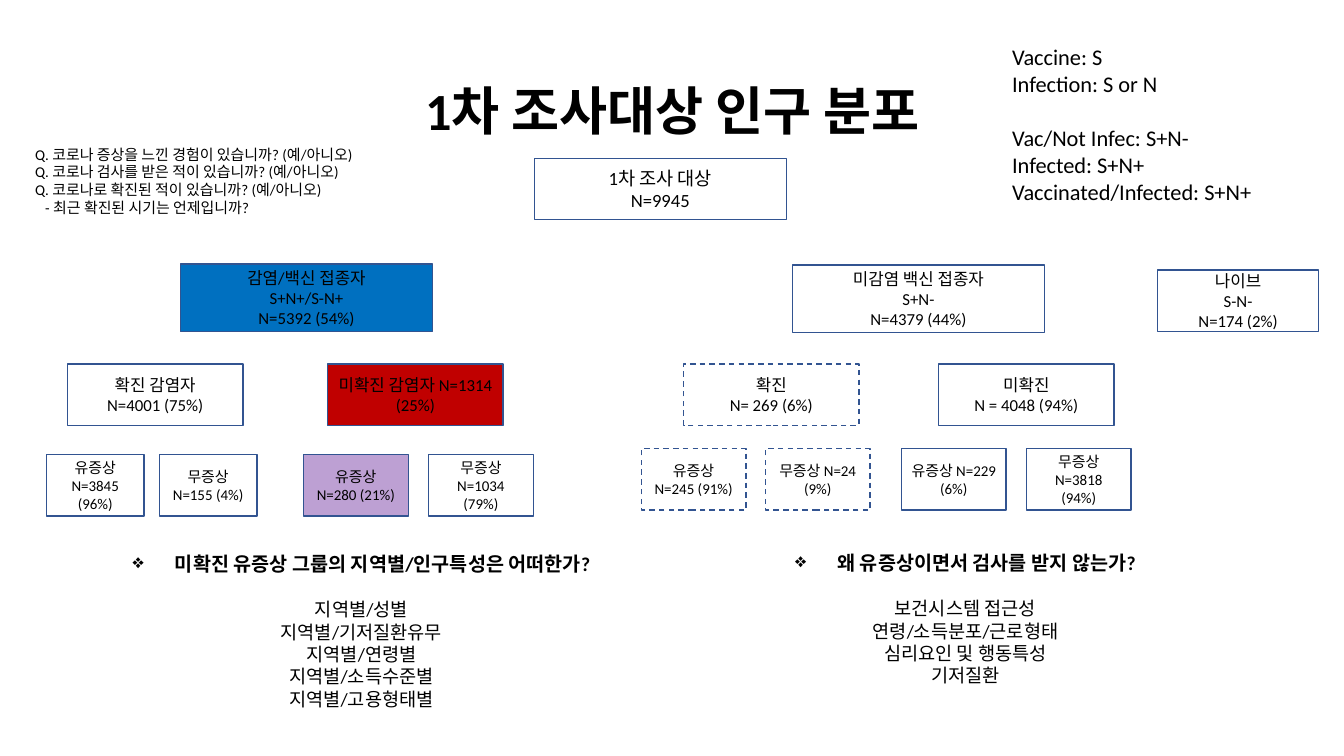
from lxml import etree
from pptx import Presentation
from pptx.dml.color import RGBColor
from pptx.enum.dml import MSO_LINE
from pptx.enum.shapes import MSO_SHAPE
from pptx.enum.text import MSO_ANCHOR as Anchor, MSO_AUTO_SIZE as AutoSize, PP_ALIGN as Align
from pptx.oxml.ns import qn
from pptx.util import Inches, Pt

BLACK = RGBColor(0x00, 0x00, 0x00)
OUTLINE = RGBColor(0x32, 0x54, 0x91)
BLUE = RGBColor(0x00, 0x70, 0xC0)
RED = RGBColor(0xC0, 0x00, 0x00)
PURPLE = RGBColor(0x70, 0x30, 0xA0)

FONT = "Calibri"
LARGE, MEDIUM, SMALL = 13.3, 12, 10.7
GROUP_WIDTH, GROUP_HEIGHT = 2.5, 0.67
TEST_WIDTH, BOX_HEIGHT = 1.74, 0.61
SYMPTOM_WIDTH = 1.04


def write(frame, lines, size, align=Align.LEFT):
    """Fill a text frame with one paragraph per line."""
    frame.word_wrap = True
    for index, line in enumerate(lines):
        para = frame.paragraphs[0] if index == 0 else frame.add_paragraph()
        para.alignment = align
        span = para.add_run()
        span.text = line
        span.font.name = FONT
        span.font.size = Pt(size)
        span.font.color.rgb = BLACK
    return frame.paragraphs


def add_text(page, left, top, width, height, lines, size, align=Align.LEFT):
    box = page.shapes.add_textbox(Inches(left), Inches(top), Inches(width), Inches(height))
    return write(box.text_frame, lines, size, align)


def add_box(page, left, top, width, height, lines, size, fill=None, alpha=None, dashed=False):
    box = page.shapes.add_shape(MSO_SHAPE.RECTANGLE, Inches(left), Inches(top),
                                Inches(width), Inches(height))
    box.shadow.inherit = False
    if fill is None:
        box.fill.background()
    else:
        box.fill.solid()
        box.fill.fore_color.rgb = fill
    if alpha is not None:
        color = box.fill._xPr.find(qn("a:solidFill"))[0]
        etree.SubElement(color, qn("a:alpha")).set("val", str(alpha * 1000))
    box.line.color.rgb = OUTLINE
    box.line.width = Pt(1)
    if dashed:
        box.line.dash_style = MSO_LINE.DASH
    box.text_frame.vertical_anchor = Anchor.MIDDLE
    write(box.text_frame, lines, size, Align.CENTER)


def set_title(page, left, top, width, height):
    title = page.shapes.title
    title.left, title.top = Inches(left), Inches(top)
    title.width, title.height = Inches(width), Inches(height)
    frame = title.text_frame
    frame.auto_size = AutoSize.NONE
    frame.vertical_anchor = Anchor.MIDDLE
    para = write(frame, ["1차 조사대상 인구 분포"], 37.3, Align.CENTER)[0]
    para.line_spacing = 0.9
    para.runs[0].font.bold = True


def add_survey_questions(page, left, top, width, height):
    paras = add_text(page, left, top, width, height, [
        "Q. 코로나 증상을 느낀 경험이 있습니까? (예/아니오)",
        "Q. 코로나 검사를 받은 적이 있습니까? (예/아니오)",
        "Q. 코로나로 확진된 적이 있습니까? (예/아니오)",
        "- 최근 확진된 시기는 언제입니까?",
    ], SMALL)
    paras[-1]._p.get_or_add_pPr().set("marL", str(Inches(0.1)))


def add_legend(page, left, top, width, height):
    paras = add_text(page, left, top, width, height, [
        "Vaccine: S", "Infection: S or N",
        "Vac/Not Infec: S+N-", "Infected: S+N+", "Vaccinated/Infected: S+N+",
    ], 16)
    paras[2].space_before = Pt(19.5)


def add_infected_branch(page, left, top):
    add_box(page, left + 1.33, top, GROUP_WIDTH, GROUP_HEIGHT,
            ["감염/백신 접종자", "S+N+/S-N+", "N=5392 (54%)"], MEDIUM, BLUE)
    # Confirmed or not
    for offset, lines, fill in (
            (0.21, ["확진 감염자", "N=4001 (75%)"], None),
            (2.79, ["미확진 감염자 N=1314 (25%)"], RED)):
        add_box(page, left + offset, top + 0.99, TEST_WIDTH, BOX_HEIGHT, lines, MEDIUM, fill)
    # With or without symptoms
    for offset, width, lines, fill, alpha in (
            (0, 0.97, ["유증상", "N=3845 (96%)"], None, None),
            (1.12, 0.97, ["무증상", "N=155 (4%)"], None, None),
            (2.55, SYMPTOM_WIDTH, ["유증상", "N=280 (21%)"], PURPLE, 46),
            (3.79, SYMPTOM_WIDTH, ["무증상 N=1034 (79%)"], None, None)):
        add_box(page, left + offset, top + 1.89, width, BOX_HEIGHT, lines, SMALL, fill, alpha)


def add_uninfected_branch(page, left, top):
    add_box(page, left + 1.5, top, GROUP_WIDTH, GROUP_HEIGHT,
            ["미감염 백신 접종자", "S+N-", "N=4379 (44%)"], MEDIUM)
    # Confirmed or not
    for offset, lines, dashed in (
            (0.42, ["확진", "N= 269 (6%)"], True),
            (2.95, ["미확진", "N = 4048 (94%)"], False)):
        add_box(page, left + offset, top + 0.98, TEST_WIDTH, BOX_HEIGHT, lines, MEDIUM,
                dashed=dashed)
    # With or without symptoms
    for offset, lines, dashed in (
            (0, ["유증상", "N=245 (91%)"], True),
            (1.23, ["무증상 N=24 (9%)"], True),
            (2.58, ["유증상 N=229 (6%)"], False),
            (3.82, ["무증상 N=3818 (94%)"], False)):
        add_box(page, left + offset, top + 1.82, SYMPTOM_WIDTH, BOX_HEIGHT, lines, SMALL,
                dashed=dashed)


def add_research_question(page, left, top, width, height, question, topics):
    paras = add_text(page, left, top, width, height, [question] + topics, LARGE, Align.CENTER)
    # Bulleted heading
    heading = paras[0].runs[0].font
    heading.size, heading.bold = Pt(14), True
    properties = paras[0]._p.get_or_add_pPr()
    properties.set("marL", str(Inches(0.42)))
    properties.set("indent", str(Inches(-0.42)))
    etree.SubElement(properties, qn("a:buChar")).set("char", "❖")
    # Gap above the topics
    paras[1].space_before = Pt(16)


def main():
    deck = Presentation()
    deck.slide_width, deck.slide_height = Inches(13.33), Inches(7.5)
    page = deck.slides.add_slide(deck.slide_layouts[5])

    # Heading area
    set_title(page, 0.92, 0.4, 11.5, 1.45)
    add_survey_questions(page, 0.25, 1.39, 4.38, 0.82)
    add_legend(page, 9.94, 0.38, 2.94, 1.72)

    # Population tree
    add_box(page, 5.3, 1.57, GROUP_WIDTH, BOX_HEIGHT, ["1차 조사 대상", "N=9945"], LARGE)
    add_infected_branch(page, 0.46, 2.62)
    add_uninfected_branch(page, 6.36, 2.63)
    add_box(page, 11.48, 2.68, 1.6, BOX_HEIGHT, ["나이브", "S-N-", "N=174 (2%)"], MEDIUM)

    # Research questions
    add_research_question(
        page, 0.31, 5.43, 6.55, 1.68, "미확진 유증상 그룹의 지역별/인구특성은 어떠한가?",
        ["지역별/성별", "지역별/기저질환유무", "지역별/연령별", "지역별/소득수준별", "지역별/고용형태별"])
    add_research_question(
        page, 6.12, 5.42, 6.91, 1.68, "왜 유증상이면서 검사를 받지 않는가?",
        ["보건시스템 접근성", "연령/소득분포/근로형태", "심리요인 및 행동특성", "기저질환"])

    deck.save("out.pptx")


if __name__ == "__main__":
    main()
